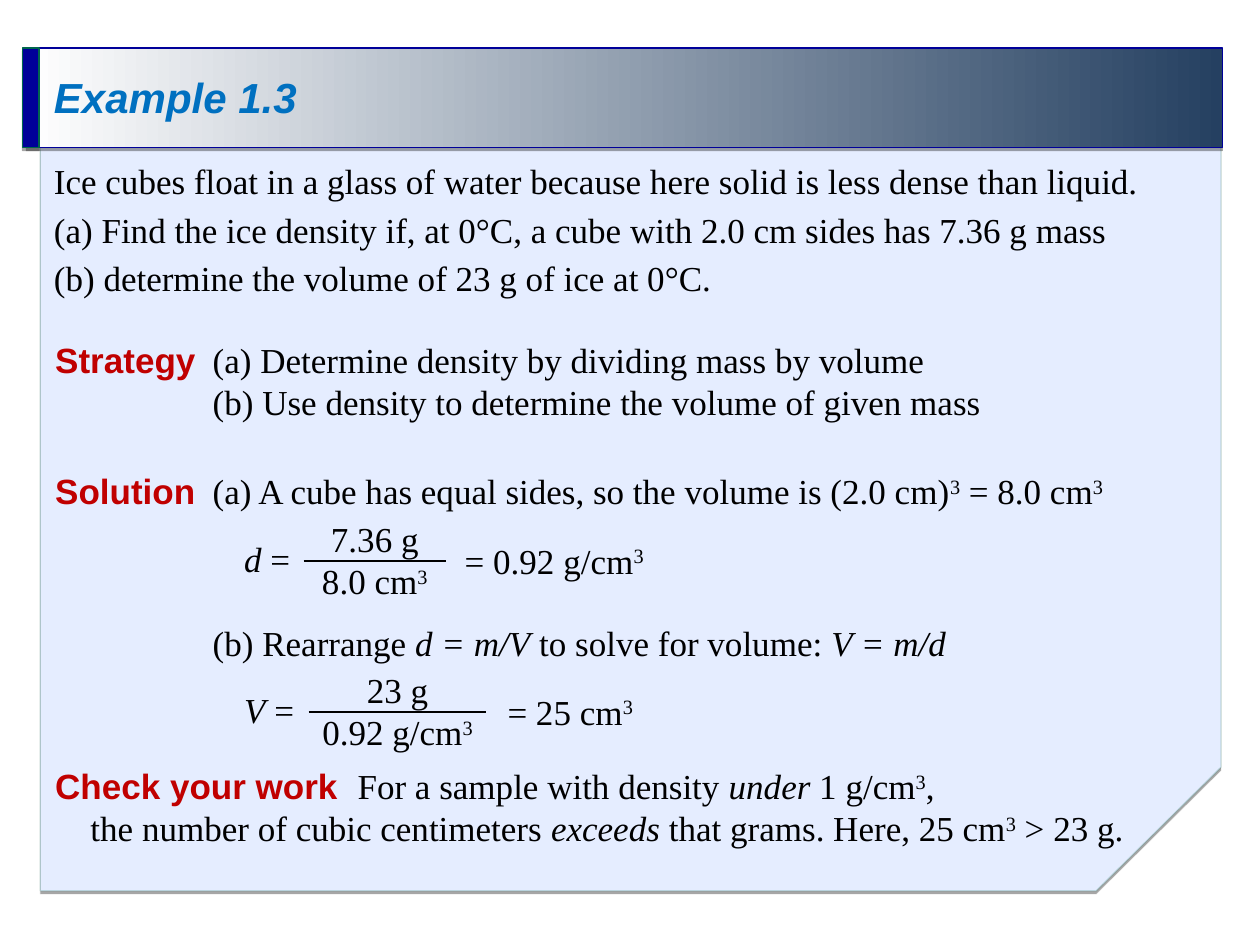
from pptx import Presentation
from pptx.dml.color import RGBColor
from pptx.enum.shapes import MSO_CONNECTOR, MSO_SHAPE
from pptx.enum.text import MSO_ANCHOR, PP_ALIGN
from pptx.oxml import parse_xml
from pptx.oxml.ns import nsdecls, qn
from pptx.util import Inches, Pt

BLACK = RGBColor(0x00, 0x00, 0x00)
WHITE = RGBColor(0xFF, 0xFF, 0xFF)
RED = RGBColor(0xC0, 0x00, 0x00)
TITLE_BLUE = RGBColor(0x00, 0x70, 0xC0)
NAVY = RGBColor(0x00, 0x00, 0x99)
SLATE = RGBColor(0x25, 0x40, 0x61)
GREEN = RGBColor(0x00, 0x66, 0x4D)
PANEL = RGBColor(0xE5, 0xED, 0xFF)

SERIF, SANS = "Times New Roman", "Arial"
CUBED = ("3", "sup")
TAB = 1.25


def outline(s, color):
    s.line.color.rgb = color
    s.line.width = Pt(0.75)


def drop_shadow(s):
    """Replace the theme shadow by a thin hard one below the shape."""
    s.shadow.inherit = False
    s._element.spPr.find(qn("a:effectLst")).append(parse_xml(
        f'<a:outerShdw {nsdecls("a")} blurRad="0" dist="{Pt(1.8)}" dir="5400000" '
        'rotWithShape="0"><a:srgbClr val="000000"><a:alpha val="35000"/>'
        '</a:srgbClr></a:outerShdw>'))


def add_panel(slide):
    """Content panel with its lower right corner cut off."""
    builder = slide.shapes.build_freeform(Inches(0.32), Inches(7.07))
    corners = [(8.7, 7.07), (9.69, 6.09), (9.69, 1.17), (0.32, 1.17)]
    builder.add_line_segments([(Inches(x), Inches(y)) for x, y in corners])
    s = builder.convert_to_shape()
    s.fill.solid()
    s.fill.fore_color.rgb = PANEL
    outline(s, GREEN)
    color = s.line._ln.find(".//" + qn("a:srgbClr"))
    color.append(parse_xml(f'<a:alpha {nsdecls("a")} val="18000"/>'))
    drop_shadow(s)


def add_bar(slide, left, width, line_color):
    s = slide.shapes.add_shape(MSO_SHAPE.RECTANGLE, Inches(left), Inches(0.38),
                               Inches(width), Inches(0.79))
    outline(s, line_color)
    drop_shadow(s)
    return s


def add_title_band(slide):
    s = add_bar(slide, 0.21, 9.49, NAVY)
    s.fill.gradient()
    s.fill.gradient_angle = 0
    for stop, position, color in zip(s.fill.gradient_stops, (0, 1), (WHITE, SLATE)):
        stop.position = position
        stop.color.rgb = color


def add_title_accent(slide):
    s = add_bar(slide, 0.18, 0.13, GREEN)
    s.fill.solid()
    s.fill.fore_color.rgb = NAVY


def add_run(p, text, style=""):
    r = p.add_run()
    r.text = text
    font = r.font
    font.size = Pt(20)
    font.name = SANS if style == "label" else SERIF
    font.color.rgb = RED if style == "label" else BLACK
    font.bold = style == "label"
    font.italic = style == "italic"
    if style == "sup":
        font._element.set("baseline", "30000")


def add_text(shapes, box, lines, tab=None, indents=(), gaps=(),
             align=PP_ALIGN.LEFT, spacing=None):
    """Add a text box; each line is a list of (text, style) runs.

    indents holds inches and gaps the points before, by line number.
    """
    tf = shapes.add_textbox(*map(Inches, box)).text_frame
    tf.word_wrap = True
    indents, gaps = dict(indents), dict(gaps)
    for i, runs in enumerate(lines):
        p = tf.paragraphs[0] if i == 0 else tf.add_paragraph()
        p.alignment = align
        if spacing:
            p.line_spacing = spacing
        if i in gaps:
            p.space_before = Pt(gaps[i])
        pPr = p._p.get_or_add_pPr()
        if i in indents:
            pPr.set("marL", str(Inches(indents[i])))
            pPr.set("indent", "0")
        if tab:
            pPr.append(parse_xml(f'<a:tabLst {nsdecls("a")}>'
                                 f'<a:tab pos="{Inches(tab)}" algn="l"/></a:tabLst>'))
        for run in runs:
            add_run(p, *run)


def add_fraction(slide, left, top, width, numerator, denominator):
    group = slide.shapes.add_group_shape()
    add_text(group.shapes, (left, top, width, 0.77), [numerator, denominator],
             align=PP_ALIGN.CENTER)
    y = Inches(top + 0.39)
    bar = group.shapes.add_connector(MSO_CONNECTOR.STRAIGHT, Inches(left), y,
                                     Inches(left + width), y)
    bar.line.color.rgb = BLACK
    bar.line.width = Pt(1)
    bar._element.spPr.append(parse_xml(f'<a:effectLst {nsdecls("a")}/>'))


def add_result(slide, left, top, text):
    """Add the cubed result of an equation, in a box with room to spare."""
    add_text(slide.shapes, (left, top, 1.8, 0.44), [[(text,), CUBED]])


def add_title(slide, text):
    tf = slide.shapes.add_textbox(Inches(0.33), Inches(0.02),
                                  Inches(8.49), Inches(1.56)).text_frame
    tf.word_wrap = True
    tf.vertical_anchor = MSO_ANCHOR.MIDDLE
    tf.text = text
    p = tf.paragraphs[0]
    p.line_spacing = 0.81
    font = p.runs[0].font
    font.name, font.size = SANS, Pt(24)
    font.bold = font.italic = True
    font.color.rgb = TITLE_BLUE


def main():
    prs = Presentation()
    prs.slide_width, prs.slide_height = Inches(10), Inches(7.5)
    slide = prs.slides.add_slide(prs.slide_layouts[6])
    shapes = slide.shapes

    add_panel(slide)
    add_title_band(slide)
    add_title_accent(slide)
    add_title(slide, "Example 1.3")

    add_text(shapes, (0.33, 1.17, 9.33, 1.25), [
        [("Ice cubes float in a glass of water because here solid is less dense than liquid.",)],
        [("(a) Find the ice density if, at 0°C, a cube with 2.0 cm sides has 7.36 g mass",)],
        [("(b) determine the volume of 23 g of ice at 0°C.",)],
    ], spacing=1.15)

    add_text(shapes, (0.34, 2.64, 9.33, 0.77), [
        [("Strategy\t", "label"), ("(a) Determine density by dividing mass by volume",)],
        [("(b) Use density to determine the volume of given mass",)],
    ], tab=TAB, indents={1: TAB})

    add_text(shapes, (0.34, 3.68, 9.33, 2.17), [
        [("Solution\t", "label"), ("(a) A cube has equal sides, so the volume is (2.0 cm)",),
         CUBED, (" = 8.0 cm",), CUBED],
        [("d", "italic"), (" =",)],
        [("(b) Rearrange ",), ("d = m/V", "italic"), (" to solve for volume: ",),
         ("V = m/d", "italic")],
        [("V", "italic"), (" =",)],
    ], tab=TAB, indents={1: 1.5, 2: TAB, 3: 1.5}, gaps={1: 14.4, 2: 24, 3: 14.4})

    add_fraction(slide, 2.41, 4.06, 1.13, [("7.36 g",)], [("8.0 cm",), CUBED])
    add_fraction(slide, 2.45, 5.26, 1.41, [("23 g",)], [("0.92 g/cm",), CUBED])
    add_result(slide, 3.59, 4.23, "= 0.92 g/cm")
    add_result(slide, 3.93, 5.43, "= 25 cm")

    add_text(shapes, (0.34, 6.02, 8.74, 0.77), [
        [("Check your work\t", "label"), ("For a sample with density ",),
         ("under", "italic"), (" 1 g/cm",), CUBED, (",",)],
        [("the number of cubic centimeters ",), ("exceeds", "italic"),
         (" that grams. Here, 25 cm",), CUBED, (" > 23 g.",)],
    ], tab=2.4, indents={1: 0.28})

    prs.save("out.pptx")


if __name__ == "__main__":
    main()
